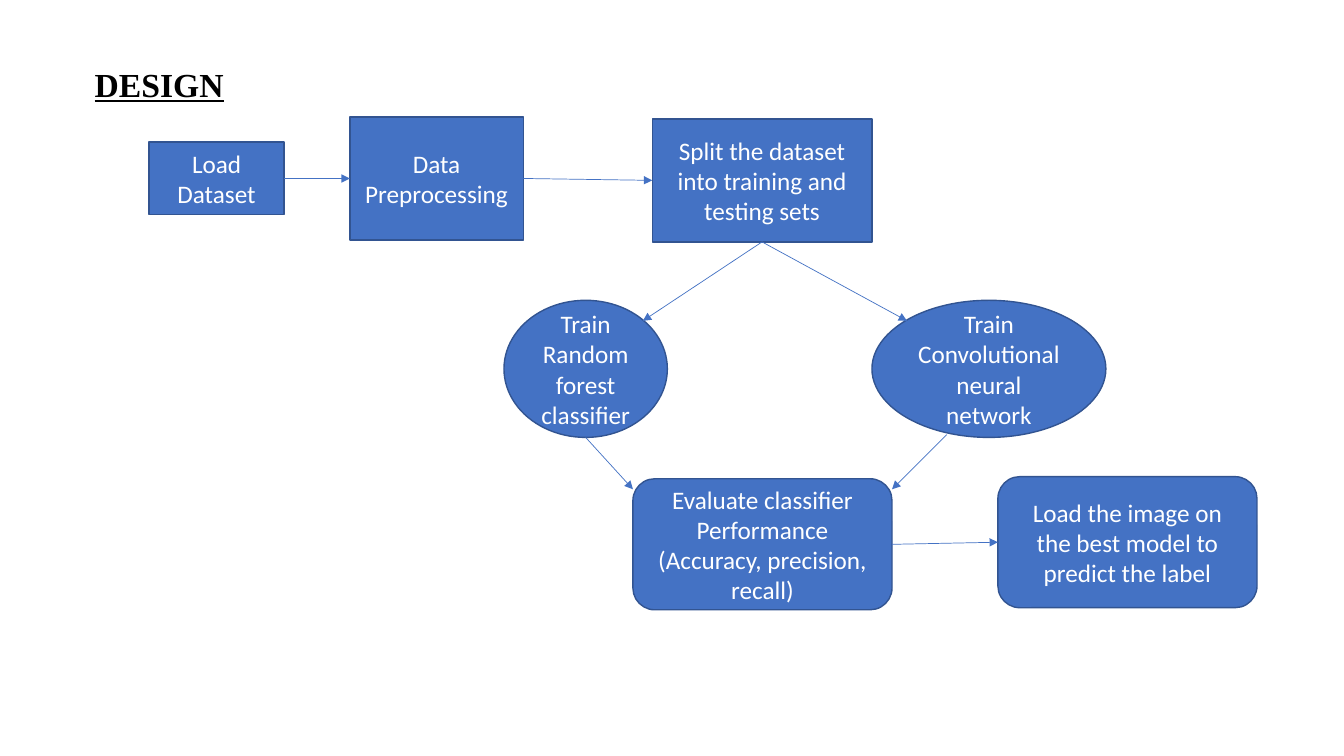
import pptx
import pptx.dml.color
import pptx.enum.shapes
import pptx.enum.text
import pptx.oxml
import pptx.oxml.ns
import pptx.util

BLUE = pptx.dml.color.RGBColor(0x44, 0x72, 0xC4)
DARK_BLUE = pptx.dml.color.RGBColor(0x32, 0x54, 0x91)
WHITE = pptx.dml.color.RGBColor(0xFF, 0xFF, 0xFF)
BLACK = pptx.dml.color.RGBColor(0x00, 0x00, 0x00)

SHAPE = pptx.enum.shapes.MSO_SHAPE
ANCHOR = pptx.enum.text.MSO_ANCHOR
ALIGN = pptx.enum.text.PP_ALIGN
COLUMNS, ROWS = 64, 36

TITLE_FONT = {"name": "Times New Roman", "size": pptx.util.Pt(24),
              "bold": True, "underline": True}
STEP_FONT = {"name": "Calibri", "size": pptx.util.Pt(18)}

LEFT, RIGHT, BOTTOM = (0, 0.5), (1, 0.5), (0.5, 1)
OVAL_UPPER_LEFT, OVAL_UPPER_RIGHT = (0.15, 0.15), (0.85, 0.15)
OVAL_LOWER_LEFT = (0.32, 0.98)
CORNER_LEFT, CORNER_RIGHT = (0, 0.08), (1, 0.08)


class FlowSlide:
    """Draws a flow chart on a grid of 64 columns and 36 rows."""

    def __init__(self, deck):
        self.column = deck.slide_width / COLUMNS
        self.row = deck.slide_height / ROWS
        self.slide = deck.slides.add_slide(deck.slide_layouts[5])

    def area(self, left, top, width, height):
        return (round(left * self.column), round(top * self.row),
                round(width * self.column), round(height * self.row))

    def put_text(self, shape, text, font, color, align, anchor):
        frame = shape.text_frame
        frame.word_wrap = True
        frame.auto_size = pptx.enum.text.MSO_AUTO_SIZE.NONE
        frame.vertical_anchor = anchor
        para = frame.paragraphs[0]
        para.alignment = align
        span = para.add_run()
        span.text = text
        for key, value in font.items():
            setattr(span.font, key, value)
        span.font.color.rgb = color

    def title(self, text, *cells):
        title = self.slide.shapes.title
        title.left, title.top, title.width, title.height = self.area(*cells)
        self.put_text(title, text, TITLE_FONT, BLACK, ALIGN.LEFT, ANCHOR.TOP)

    def step(self, kind, text, *cells):
        box = self.slide.shapes.add_shape(kind, *self.area(*cells))
        box.shadow.inherit = False
        box.fill.solid()
        box.fill.fore_color.rgb = BLUE
        box.line.color.rgb = DARK_BLUE
        box.line.width = pptx.util.Pt(1)
        self.put_text(box, text, STEP_FONT, WHITE, ALIGN.CENTER, ANCHOR.MIDDLE)
        return box

    def arrow(self, source, start, target, end):
        """Join two steps; start and end are shares of each step's box."""
        points = [round(value) for box, (x, y) in ((source, start), (target, end))
                  for value in (box.left + x * box.width, box.top + y * box.height)]
        arrow = self.slide.shapes.add_connector(
            pptx.enum.shapes.MSO_CONNECTOR.STRAIGHT, *points)
        arrow.line.color.rgb = BLUE
        arrow.line.width = pptx.util.Pt(0.5)
        head = pptx.oxml.parse_xml(
            f'<a:tailEnd {pptx.oxml.ns.nsdecls("a")} type="triangle"/>')
        arrow.get_or_add_ln().append(head)
        effects = pptx.oxml.parse_xml(f'<a:effectLst {pptx.oxml.ns.nsdecls("a")}/>')
        arrow.element.spPr.append(effects)


def main():
    deck = pptx.Presentation()
    deck.slide_width = pptx.util.Inches(13.33)
    deck.slide_height = pptx.util.Inches(7.5)
    page = FlowSlide(deck)
    page.title("DESIGN", 4.03, 2.78, 32, 2.4)

    load = page.step(SHAPE.RECTANGLE, "Load Dataset", 7.1, 6.77, 6.43, 3.46)
    prepare = page.step(SHAPE.RECTANGLE, "Data Preprocessing",
                        16.66, 5.57, 8.26, 5.86)
    split = page.step(SHAPE.RECTANGLE,
                      "Split the dataset into training and testing sets",
                      31.06, 5.66, 10.46, 5.86)
    forest = page.step(SHAPE.OVAL, "Train Random forest classifier",
                       24, 14.3, 7.78, 6.53)
    network = page.step(SHAPE.OVAL, "Train Convolutional neural network",
                        41.52, 14.3, 11.14, 6.53)
    evaluate = page.step(SHAPE.ROUNDED_RECTANGLE,
                         "Evaluate classifier Performance (Accuracy, precision, recall)",
                         30.14, 22.8, 12.34, 6.24)
    predict = page.step(SHAPE.ROUNDED_RECTANGLE,
                        "Load the image on the best model to predict the label",
                        47.52, 22.7, 12.34, 6.24)

    for link in (
        (load, RIGHT, prepare, LEFT),
        (prepare, RIGHT, split, LEFT),
        (split, BOTTOM, forest, OVAL_UPPER_RIGHT),
        (split, BOTTOM, network, OVAL_UPPER_LEFT),
        (forest, BOTTOM, evaluate, CORNER_LEFT),
        (network, OVAL_LOWER_LEFT, evaluate, CORNER_RIGHT),
        (evaluate, RIGHT, predict, LEFT),
    ):
        page.arrow(*link)

    deck.save("out.pptx")


if __name__ == "__main__":
    main()
